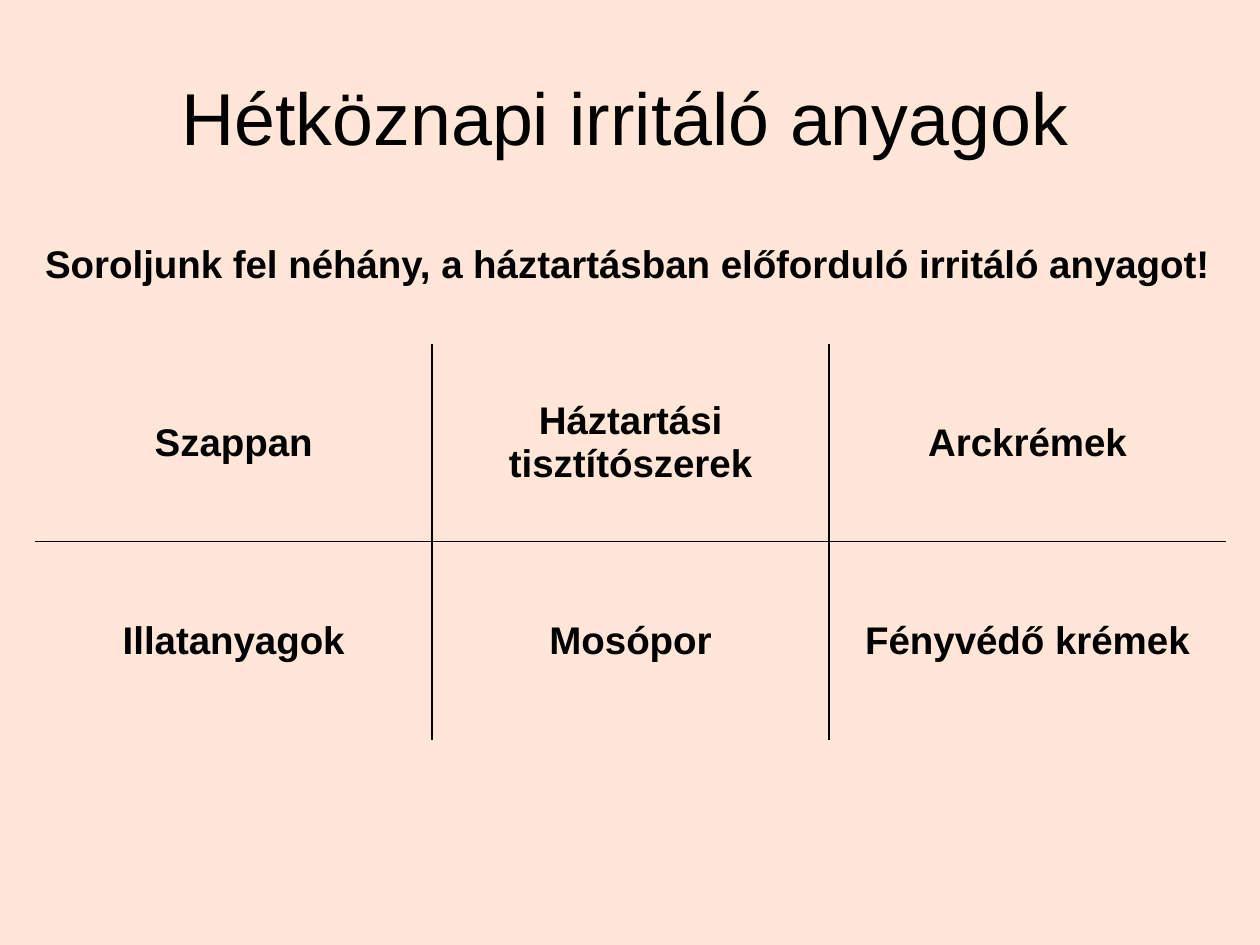
from lxml.etree import SubElement
from pptx import Presentation
from pptx.dml.color import RGBColor
from pptx.enum.text import MSO_ANCHOR, PP_ALIGN
from pptx.oxml.ns import qn
from pptx.util import Inches, Pt

COLORS = {"background": "FFE6D7", "ink": "000000"}
IRRITANTS = [
    ["Szappan", "Háztartási tisztítószerek", "Arckrémek"],
    ["Illatanyagok", "Mosópor", "Fényvédő krémek"],
]
ROWS, COLUMNS = len(IRRITANTS), len(IRRITANTS[0])
COLUMN_WIDTH, ROW_HEIGHT = Inches(3.15), Inches(1.57)


def write(frame, text, size, bold=False, align=PP_ALIGN.CENTER):
    paragraph = frame.paragraphs[0]
    paragraph.alignment = align
    span = paragraph.add_run()
    span.text = text
    span.font.name = "Arial"
    span.font.size = Pt(size)
    span.font.bold = bold
    span.font.color.rgb = RGBColor.from_string(COLORS["ink"])


def set_borders(cell, inner_sides):
    """Draw a 1 pt line on each inner side and none on the outer sides."""
    properties = cell._tc.get_or_add_tcPr()
    for position, (side, inner) in enumerate(inner_sides.items()):
        line = SubElement(properties, qn(f"a:ln{side}"), w=str(Pt(1)))
        if inner:
            fill = SubElement(line, qn("a:solidFill"))
            SubElement(fill, qn("a:srgbClr"), val=COLORS["ink"])
        else:
            SubElement(line, qn("a:noFill"))
        properties.insert(position, line)  # borders come before the cell fill


deck = Presentation()
deck.slide_width, deck.slide_height = Inches(10), Inches(7.5)
page = deck.slides.add_slide(deck.slide_layouts[5])
page.background.fill.solid()
page.background.fill.fore_color.rgb = RGBColor.from_string(COLORS["background"])

title = page.shapes.title
title.left, title.top = Inches(0.42), Inches(0.3)
title.width, title.height = Inches(9.08), Inches(1.25)
title.text_frame.vertical_anchor = MSO_ANCHOR.MIDDLE
write(title.text_frame, "Hétköznapi irritáló anyagok", 42)

table = page.shapes.add_table(
    ROWS, COLUMNS, Inches(0.28), Inches(2.73),
    COLUMN_WIDTH * COLUMNS, ROW_HEIGHT * ROWS,
).table
table.first_row = table.horz_banding = False
for row, names in enumerate(IRRITANTS):
    table.rows[row].height = ROW_HEIGHT
    for column, name in enumerate(names):
        cell = table.cell(row, column)
        cell.fill.background()
        cell.vertical_anchor = MSO_ANCHOR.MIDDLE
        write(cell.text_frame, name, 22, bold=True)
        set_borders(cell, {
            "L": column > 0,
            "R": column < COLUMNS - 1,
            "T": row > 0,
            "B": row < ROWS - 1,
        })

prompt = page.shapes.add_textbox(Inches(0.26), Inches(1.86), Inches(9.49), Inches(0.47))
prompt.text_frame.word_wrap = True
write(
    prompt.text_frame,
    "Soroljunk fel néhány, a háztartásban előforduló irritáló anyagot!",
    22, bold=True, align=PP_ALIGN.LEFT,
)

deck.save("out.pptx")
